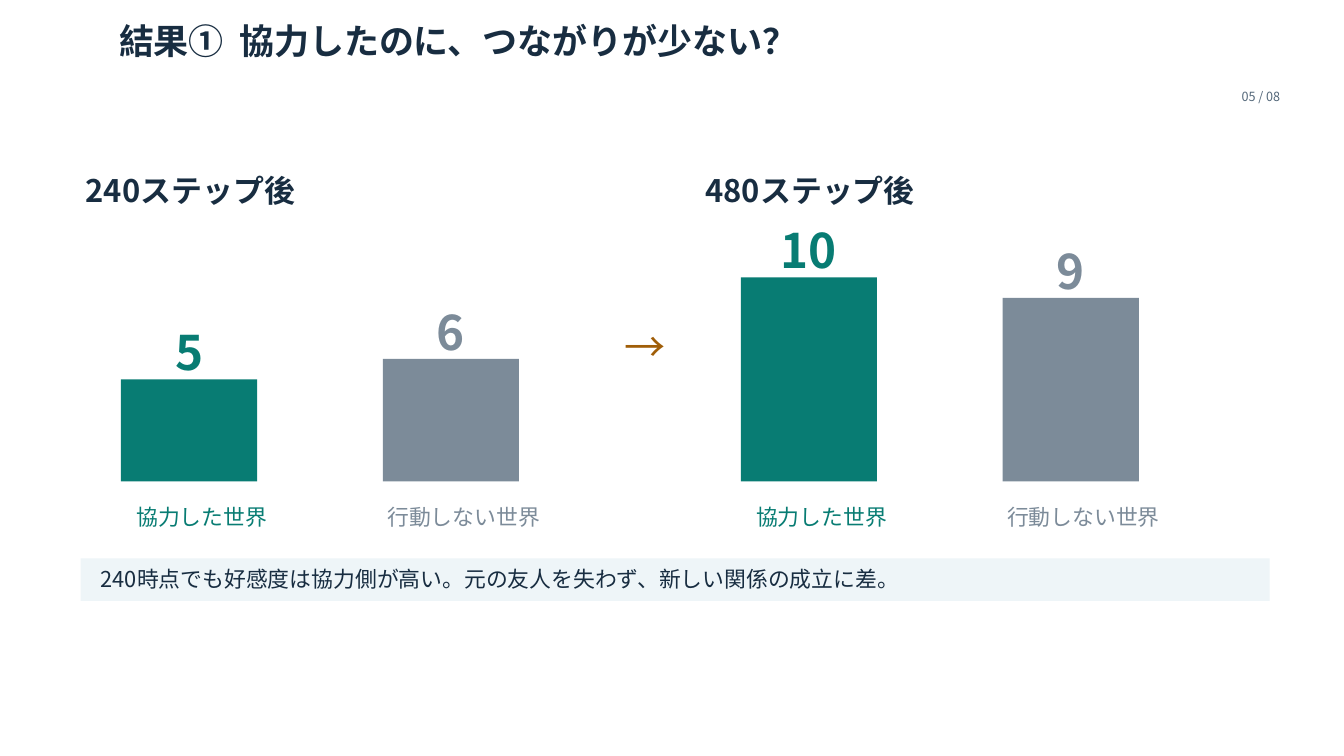
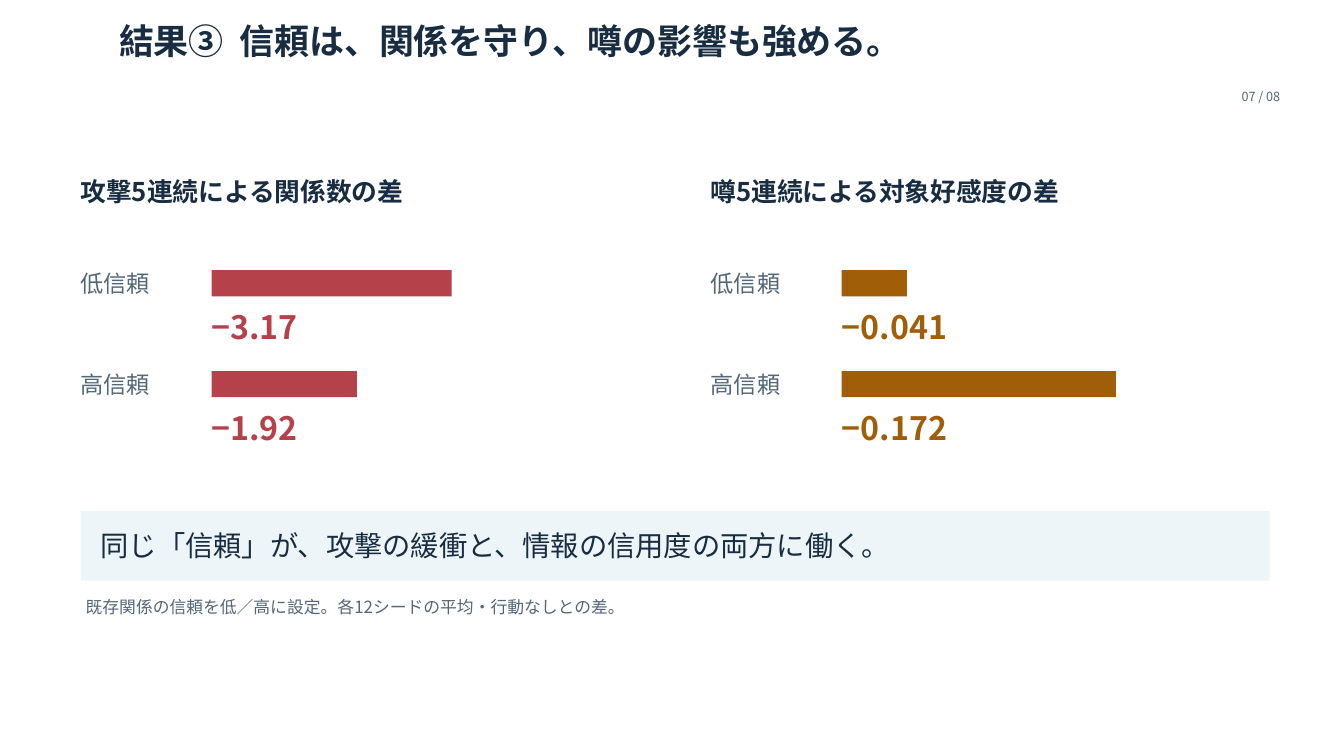
from dataclasses import dataclass
from typing import NamedTuple

from pptx import Presentation
from pptx.dml.color import RGBColor
from pptx.enum.shapes import MSO_SHAPE as Preset
from pptx.enum.text import MSO_AUTO_SIZE as Fit, PP_ALIGN as Align
from pptx.oxml.ns import qn
from pptx.slide import Slide
from pptx.util import Cm, Pt
from lxml.etree import SubElement

FACE = "Noto Sans CJK JP"
INK = RGBColor(0x18, 0x2D, 0x41)
SLATE = RGBColor(0x53, 0x67, 0x79)
TEAL = RGBColor(0x08, 0x7C, 0x73)
GREY = RGBColor(0x7C, 0x8B, 0x99)
AMBER = RGBColor(0xA0, 0x5E, 0x08)
RED = RGBColor(0xB5, 0x42, 0x4A)
PALE = RGBColor(0xEE, 0xF5, 0xF8)

BASE = 12.13  # floor of the columns, cm
UNIT = 0.514  # column height per tie, cm
TAB = 3.03  # from the title number to its words, cm


class Box(NamedTuple):
    """Left, top, width and height in cm."""
    x: float
    y: float
    w: float
    h: float


@dataclass(frozen=True)
class Style:
    size: float
    bold: bool = False
    align: Align = Align.LEFT
    after: float = 4.4


TITLE = Style(25, True, after=5)
PAGE = Style(9, align=Align.RIGHT, after=5)
PHASE = Style(22.1, True)
COUNT = Style(34, True, Align.CENTER)
WORLD = Style(15.6, align=Align.CENTER)
ARROW = Style(29.4)
TOPIC = Style(18.4, True)
LEVEL = Style(16.6)
DELTA = Style(23, True)
REMARK = Style(15.6)
CLAIM = Style(20.2)
NOTE = Style(12)


@dataclass(frozen=True)
class Phase:
    """Tie counts of the two worlds after some steps."""
    x: float
    head: str
    counts: tuple[int, int]


@dataclass(frozen=True)
class Topic:
    """Drops under low and high trust; scale is cm per unit."""
    x: float
    head: str
    color: RGBColor
    scale: float
    drops: tuple[float, float]


WORLDS = (("協力した世界", TEAL), ("行動しない世界", GREY))
TRUST = ("低信頼", "高信頼")
PHASES = (
    Phase(2.16, "240ステップ後", (5, 6)),
    Phase(17.78, "480ステップ後", (10, 9)),
)
TOPICS = (
    Topic(2.03, "攻撃5連続による関係数の差", RED, 1.91, (3.17, 1.92)),
    Topic(17.91, "噂5連続による対象好感度の差", AMBER, 40.2, (0.041, 0.172)),
)


def write(slide: Slide, box: Box, text: str, style: Style,
          color: RGBColor, tab: float = 0) -> None:
    frame = slide.shapes.add_textbox(*map(Cm, box)).text_frame
    layout = dict(margin_left=0, margin_top=0, margin_right=0,
                  margin_bottom=0, word_wrap=True,
                  auto_size=Fit.SHAPE_TO_FIT_TEXT)
    for key, value in layout.items():
        setattr(frame, key, value)

    para = frame.paragraphs[0]
    if tab:
        stops = SubElement(para._p.get_or_add_pPr(), qn("a:tabLst"))
        SubElement(stops, qn("a:tab"), pos=str(Cm(tab)), algn="l")
    para.alignment = style.align
    para.space_after = Pt(style.after)

    run = para.add_run()
    run.text = text
    form = dict(name=FACE, size=Pt(style.size), bold=style.bold)
    for key, value in form.items():
        setattr(run.font, key, value)
    run.font.color.rgb = color
    SubElement(run._r.get_or_add_rPr(), qn("a:ea"), typeface=FACE)


def block(slide: Slide, box: Box, color: RGBColor) -> None:
    """Draw a plain filled rectangle."""
    shape = slide.shapes.add_shape(Preset.RECTANGLE, *map(Cm, box))
    shape.shadow.inherit = False
    shape.fill.solid()
    shape.fill.fore_color.rgb = color
    shape.line.fill.background()


def band(slide: Slide, y: float, h: float, pad: float,
         text: str, style: Style) -> None:
    """Draw the pale strip that holds the message of a slide."""
    block(slide, Box(2.03, y, 29.97, h), PALE)
    write(slide, Box(2.54, y + pad, 28.96, h - 2 * pad), text, style, INK)


def start(deck: Presentation, title: str, page: int) -> Slide:
    """Add a blank slide with its title and page number."""
    slide = deck.slides.add_slide(deck.slide_layouts[6])
    write(slide, Box(3, 0.48, 27.94, 1.68), title, TITLE, INK, TAB)
    write(slide, Box(30.99, 2.24, 1.27, 0.51), f"{page:02} / 08", PAGE, SLATE)
    return slide


def columns(slide: Slide, phase: Phase) -> None:
    write(slide, Box(phase.x, 4.32, 13.97, 1.12), phase.head, PHASE, INK)
    for i, ((name, color), count) in enumerate(zip(WORLDS, phase.counts)):
        x = phase.x + 6.6 * i
        high = count * UNIT
        top = BASE - high
        block(slide, Box(x + 0.89, top, 3.43, high), color)
        write(slide, Box(x + 0.89, top - 1.41, 3.43, 1.35),
              str(count), COUNT, color)
        write(slide, Box(x + 0.13, 12.7, 5.59, 0.89), name, WORLD, color)


def bars(slide: Slide, topic: Topic) -> None:
    write(slide, Box(topic.x, 4.42, 13.97, 1.22), topic.head, TOPIC, INK)
    x = topic.x + 3.3
    for i, (level, drop) in enumerate(zip(TRUST, topic.drops)):
        y = 6.78 + 2.54 * i
        write(slide, Box(topic.x, y, 3.18, 0.89), level, LEVEL, SLATE)
        block(slide, Box(x, y + 0.03, drop * topic.scale, 0.66), topic.color)
        write(slide, Box(x, y + 0.97, 9.4, 1.12), f"−{drop}",
              DELTA, topic.color)


def ties(deck: Presentation) -> None:
    slide = start(deck, "結果①\t協力したのに、つながりが少ない？", 5)
    for phase in PHASES:
        columns(slide, phase)
    write(slide, Box(15.75, 8.1, 1.52, 1.35), "→", ARROW, AMBER)
    band(slide, 14.07, 1.07, 0.18,
         "240時点でも好感度は協力側が高い。元の友人を失わず、新しい関係の成立に差。",
         REMARK)


def trust(deck: Presentation) -> None:
    slide = start(deck, "結果③\t信頼は、関係を守り、噂の影響も強める。", 7)
    for topic in TOPICS:
        bars(slide, topic)
    band(slide, 12.88, 1.75, 0.43,
         "同じ「信頼」が、攻撃の緩衝と、情報の信用度の両方に働く。", CLAIM)
    write(slide, Box(2.16, 15.04, 29.97, 0.66),
          "既存関係の信頼を低／高に設定。各12シードの平均・行動なしとの差。",
          NOTE, SLATE)


def main() -> None:
    deck = Presentation()
    deck.slide_width = Cm(33.87)
    deck.slide_height = Cm(19.05)
    ties(deck)
    trust(deck)
    deck.save("out.pptx")


if __name__ == "__main__":
    main()
